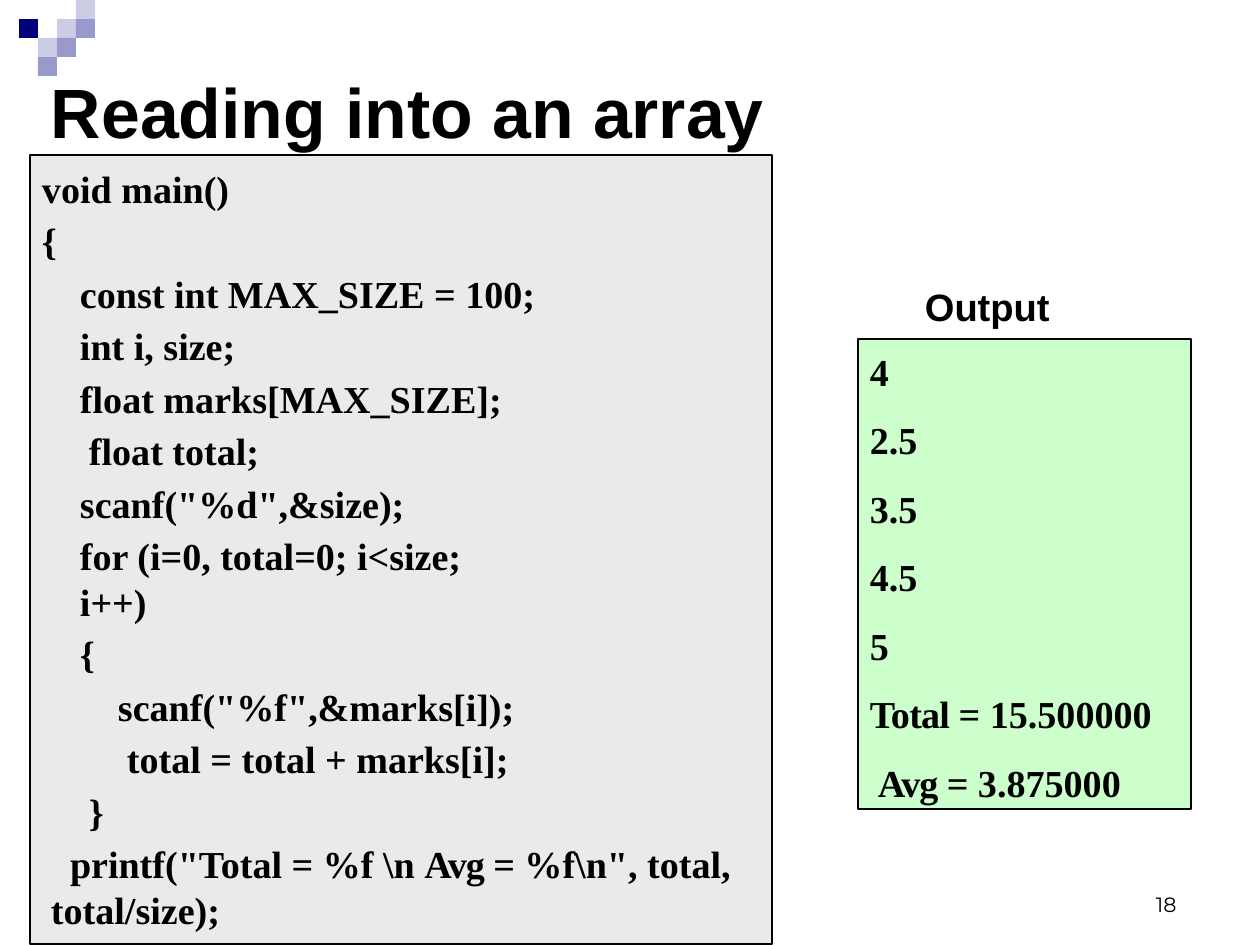
from pptx import Presentation
from pptx.dml.color import RGBColor
from pptx.enum.shapes import MSO_SHAPE
from pptx.enum.text import MSO_ANCHOR
from pptx.util import Pt

RECT = MSO_SHAPE.RECTANGLE
TOP = MSO_ANCHOR.TOP
PX = 8007
BLACK = RGBColor(0, 0, 0)
NAVY = RGBColor(0, 0, 0x7C)
LILAC = RGBColor(0x99, 0x99, 0xCC)
PALE = RGBColor(0xCC, 0xCC, 0xE6)
GREY = RGBColor(0xEA, 0xEA, 0xEA)
GREEN = RGBColor(0xCC, 0xFF, 0xCC)
SERIF = "Times New Roman"

CELLS = [(0, 1, NAVY), (1, 2, PALE), (2, 1, PALE), (3, 0, PALE),
         (1, 3, LILAC), (2, 2, LILAC), (3, 1, LILAC)]
CODE = [
    (12, 0, ["void main()"]),
    (12, 0, ["{"]),
    (50, 0, ["const int MAX_SIZE = 100;"]),
    (50, 0, ["int i, size;"]),
    (50, 0, ["float marks[MAX_SIZE];"]),
    (59, 0, ["float total;"]),
    (50, 0, ['scanf("%d",&size);']),
    (50, 0, ["for (i=0, total=0; i<size;", "\v", "i++)"]),
    (50, 0, ["{"]),
    (88, 0, ['scanf("%f",&marks[i]);']),
    (97, 0, ["total = total + marks[i];"]),
    (59, 0, ["}"]),
    (21, 19, ['printf("Total = %f \\n ', "Avg ", '= %f\\n", total,', "\v",
              "total/size);"]),
]
RESULT = [(12, 0, [text]) for text in ("4", "2.5", "3.5", "4.5", "5")] + [
    (12, 0, ["Total ", "= 15.500000"]),
    (20, 0, ["Avg ", "= 3.875000"]),
]
TIGHT = {"Total ": -50, "Avg ": -70}


def fill_text(shape, lines, font, size, bold=True, gap=0, inset=0):
    """Write indented lines of runs into a shape."""
    frame = shape.text_frame
    frame.word_wrap = True
    frame.vertical_anchor = TOP
    frame.margin_left = frame.margin_right = frame.margin_bottom = 0
    frame.margin_top = inset * PX
    for row, (left, first, runs) in enumerate(lines):
        para = frame.add_paragraph() if row else frame.paragraphs[0]
        props = para._p.get_or_add_pPr()
        props.set("marL", str(left * PX))
        props.set("indent", str(first * PX))
        props.set("algn", "l")
        para.space_before = Pt(gap if row else 0)
        para.font.size = Pt(size)
        for text in runs:
            if text == "\v":
                para.add_line_break()
                continue
            run = para.add_run()
            run.text = text
            run.font.name = font
            run.font.size = Pt(size)
            run.font.bold = bold
            run.font.color.rgb = BLACK
            if text in TIGHT:
                run._r.get_or_add_rPr().set("spc", str(TIGHT[text]))


def add_rect(slide, box, fill, edge=False):
    """Place a flat rectangle."""
    shape = slide.shapes.add_shape(RECT, *(n * PX for n in box))
    shape.shadow.inherit = False
    shape.fill.solid()
    shape.fill.fore_color.rgb = fill
    if edge:
        shape.line.color.rgb = BLACK
        shape.line.width = Pt(0.96)
    else:
        shape.line.fill.background()
    return shape


def add_label(slide, box, text, font, size, bold=True, inset=0):
    """Place a single line of text."""
    shape = slide.shapes.add_textbox(*(n * PX for n in box))
    fill_text(shape, [(1, 0, [text])], font, size, bold, inset=inset)


def add_motif(slide, left, top, side):
    """Place the stepped squares of the corner."""
    for col, row, color in CELLS:
        add_rect(slide, (left + col * side, top + row * side, side, side), color)


def add_code(slide, box):
    """Place the program listing."""
    shape = add_rect(slide, box, GREY, True)
    fill_text(shape, CODE, SERIF, 24, gap=4.3, inset=10)


def add_output(slide, box):
    """Place the output panel and its heading."""
    left, top, width, height = box
    add_label(slide, (left + 66, top - 59, 150, 49), "Output", "Arial", 24, inset=3)
    shape = add_rect(slide, box, GREEN, True)
    fill_text(shape, RESULT, SERIF, 24, gap=14.4, inset=9)


def main():
    """Build the slide and save it."""
    deck = Presentation()
    deck.slide_width, deck.slide_height = 1260 * PX, 945 * PX
    slide = deck.slides.add_slide(deck.slide_layouts[6])
    add_motif(slide, 19, 0, 19)
    add_label(slide, (50, 65, 750, 87), "Reading into an array", "Arial", 44, inset=4)
    add_code(slide, (30, 155, 742, 789))
    add_output(slide, (858, 339, 333, 470))
    add_label(slide, (1155, 890, 40, 27), "18", "Montserrat", 13, False, 2)
    deck.save("out.pptx")


if __name__ == "__main__":
    main()
